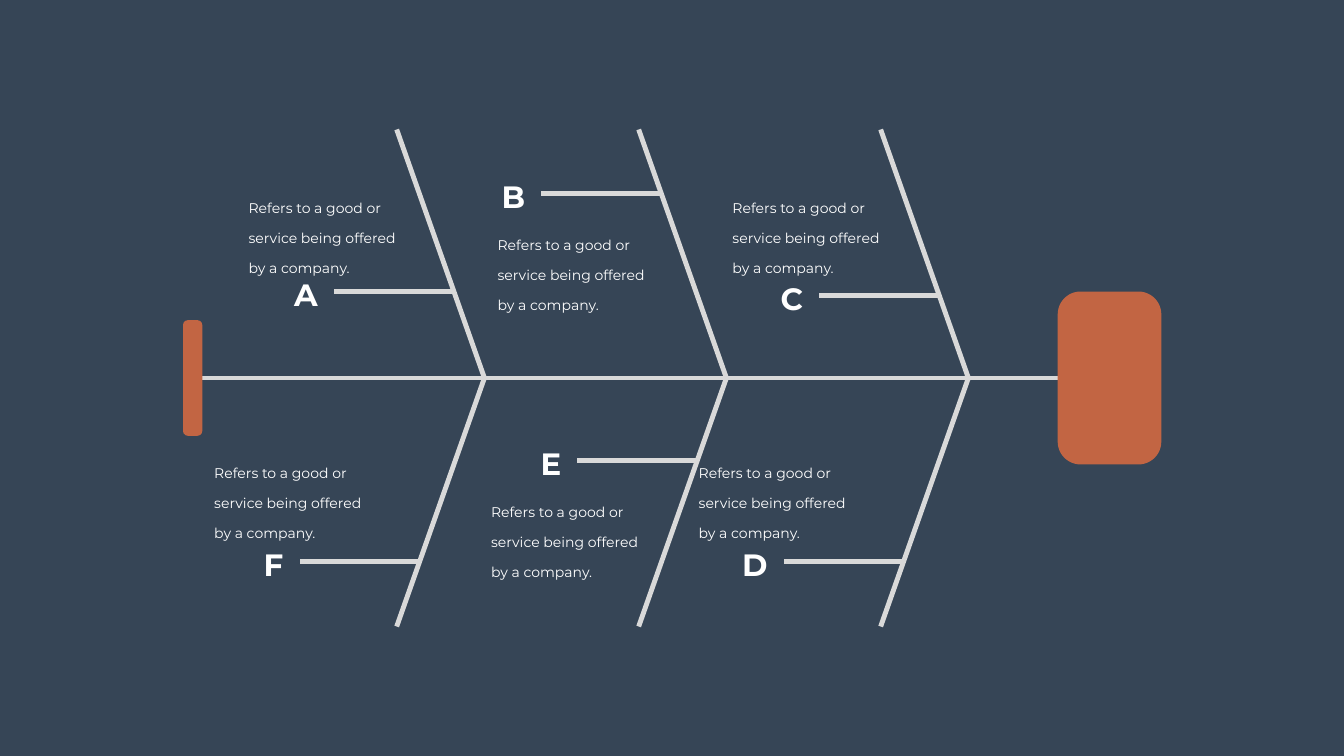
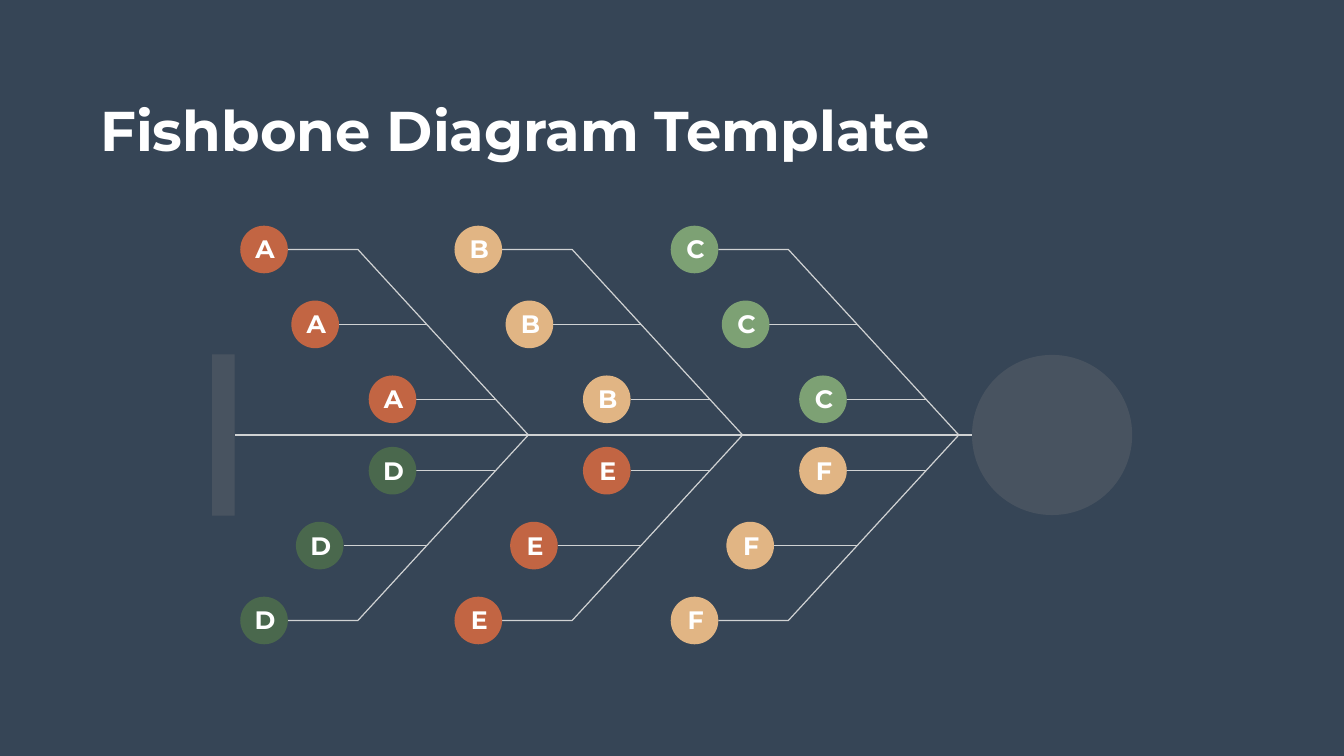
"""Build two fishbone diagram slides."""
from lxml.etree import SubElement
from pptx import Presentation
from pptx.dml.color import RGBColor
from pptx.enum.shapes import MSO_CONNECTOR, MSO_SHAPE
from pptx.enum.text import MSO_ANCHOR, MSO_AUTO_SIZE, PP_ALIGN
from pptx.oxml.ns import qn
from pptx.util import Pt

COLORS = {
    "background": "364556", "white": "FFFFFF", "bone": "D9D9D9", "thin_bone": "D0D2D3",
    "orange": "C26543", "sand": "E1B584", "sage": "7DA174", "forest": "4A684D", "gray": "808080",
}
FONT = "Montserrat"
TITLE = "Fishbone Diagram Template"
NOTE = "Refers to a good or service being offered by a company."

# Letter, bone index, height of its branch, left and top of its note
CAUSES = [
    ("A", 0, 416.5, 337.7, 257), ("B", 1, 276.8, 693.4, 310.3), ("C", 2, 422.3, 1028.9, 257),
    ("F", 0, 802.4, 288.7, 635.8), ("E", 1, 657.7, 684, 691.9), ("D", 2, 801.7, 980.6, 635.8),
]
BOLD_BONES = {"left": 566.6, "pitch": 345.6, "run": 125.3, "rise": 355, "spine": 540}
BRANCH_LENGTH = 169

# Tip of each bone, then letter and colour of its upper and lower half
BONES = [
    (754.6, ("A", "orange"), ("D", "forest")),
    (1060.6, ("B", "sand"), ("E", "orange")),
    (1369.4, ("C", "sage"), ("F", "sand")),
]
THIN_BONES = {"run": 243.4, "rise": 265, "spine": 621.4}
DISTANCES = (265, 158, 51)
UPPER_SETBACKS = (377.5, 304.5, 194)
LOWER_SETBACKS = (377.5, 298, 194)
DISC = 68
LETTER_SIZE = (114.5, 51)


def rgb(name):
    return RGBColor.from_string(COLORS[name])


def style_text(frame, text, size, bold, align):
    frame.text = text
    frame.auto_size = MSO_AUTO_SIZE.SHAPE_TO_FIT_TEXT
    para = frame.paragraphs[0]
    para.alignment = align
    font = para.runs[0].font
    font.name, font.size, font.bold = FONT, Pt(size), bold
    font.color.rgb = rgb("white")
    return para


def add_text(slide, text, left, top, width, height, size, bold=True, align=PP_ALIGN.CENTER):
    box = slide.shapes.add_textbox(Pt(left), Pt(top), Pt(width), Pt(height))
    box.text_frame.word_wrap = True
    style_text(box.text_frame, text, size, bold, align)
    return box


def add_note(slide, left, top):
    box = add_text(slide, NOTE, left, top, 259.2, 141.8, 20, False, PP_ALIGN.LEFT)
    frame = box.text_frame
    frame.margin_left = frame.margin_right = Pt(17.28)
    frame.margin_top = frame.margin_bottom = Pt(8.64)
    para = frame.paragraphs[0]
    para.line_spacing, para.space_before = Pt(43), Pt(4)


def add_solid(slide, kind, left, top, width, height, color, opacity=None):
    shape = slide.shapes.add_shape(kind, Pt(left), Pt(top), Pt(width), Pt(height))
    shape.shadow.inherit = False
    shape.fill.solid()
    shape.fill.fore_color.rgb = rgb(color)
    shape.line.fill.background()
    if opacity is not None:
        tint = next(shape.fill._xPr.iter(qn("a:srgbClr")))
        SubElement(tint, qn("a:alpha")).set("val", str(opacity * 1000))
    return shape


def style_line(shape, color, weight):
    shape.line.color.rgb = rgb(color)
    shape.line.width = Pt(weight)


def add_straight(slide, start, end, y, color, weight):
    line = slide.shapes.add_connector(MSO_CONNECTOR.STRAIGHT, Pt(start), Pt(y), Pt(end), Pt(y))
    style_line(line, color, weight)
    SubElement(line._element.spPr, qn("a:effectLst"))
    return line


def add_bone(slide, points, color, weight):
    corners = [(Pt(x), Pt(y)) for x, y in points]
    builder = slide.shapes.build_freeform(*corners[0])
    builder.add_line_segments(corners[1:], close=False)
    bone = builder.convert_to_shape()
    bone.shadow.inherit = False
    bone.fill.background()
    style_line(bone, color, weight)


def build_bold_fishbone(deck):
    slide = deck.slides.add_slide(deck.slide_layouts[6])
    spine, run, rise = (BOLD_BONES[key] for key in ("spine", "run", "rise"))
    lefts = [BOLD_BONES["left"] + index * BOLD_BONES["pitch"] for index in range(3)]
    add_straight(slide, 1553, 274.3, spine, "bone", 7)
    for left in reversed(lefts):
        points = [(left, spine - rise), (left + run, spine), (left, spine + rise)]
        add_bone(slide, points, "bone", 7)
    for letter, index, y, note_left, note_top in CAUSES:
        end = lefts[index] + run * (1 - abs(y - spine) / rise) - 2.4
        start = end - BRANCH_LENGTH
        add_straight(slide, end, start, y, "bone", 7)
        add_note(slide, note_left, note_top)
        width, height = LETTER_SIZE
        add_text(slide, letter, start - 16 - width, y - 26, width, height, 44, align=PP_ALIGN.RIGHT)
    for left, width, height, corner in [(1510.6, 148, 247, 0.22), (261.4, 27.5, 165.2, 0.25)]:
        part = add_solid(slide, MSO_SHAPE.ROUNDED_RECTANGLE, left, spine - height / 2,
                         width, height, "orange")
        part.adjustments[0] = corner


def add_branch(slide, letter, color, tip, y, distance, setback):
    center = tip - setback
    if distance < THIN_BONES["rise"]:
        end = tip - THIN_BONES["run"] * distance / THIN_BONES["rise"]
        add_straight(slide, center + DISC / 2, end, y, "thin_bone", 1.73)
    add_solid(slide, MSO_SHAPE.OVAL, center - DISC / 2, y - DISC / 2, DISC, DISC, color)
    width, height = LETTER_SIZE
    add_text(slide, letter, center + 1.5 - width / 2, y - 0.5 - height / 2, width, height, 36)


def build_disc_fishbone(deck):
    slide = deck.slides.add_slide(deck.slide_layouts[5])
    title = slide.shapes.title
    title.left, title.top, title.width, title.height = Pt(136), Pt(133.2), Pt(1203), Pt(104.4)
    style_text(title.text_frame, TITLE, 80, True, PP_ALIGN.LEFT)
    title.text_frame.word_wrap = False
    title.text_frame.vertical_anchor = MSO_ANCHOR.TOP

    spine, run, rise = (THIN_BONES[key] for key in ("spine", "run", "rise"))
    head = add_solid(slide, MSO_SHAPE.OVAL, 1388.2, spine - 114.4, 228.8, 228.8, "gray", 25)
    tail = add_solid(slide, MSO_SHAPE.RECTANGLE, 303, spine - 115.2, 32, 230.4, "gray", 25)
    backbone = add_straight(slide, head.left.pt, 335, spine, "thin_bone", 1.73)
    backbone.end_connect(tail, 3)
    for tip, upper, lower in BONES:
        start, bend = tip - UPPER_SETBACKS[0] + DISC / 2, tip - run
        points = [(start, spine - rise), (bend, spine - rise), (tip, spine),
                  (bend, spine + rise), (start, spine + rise)]
        add_bone(slide, points, "thin_bone", 1.73)
        for side, half, setbacks in [(-1, upper, UPPER_SETBACKS), (1, lower, LOWER_SETBACKS)]:
            for distance, setback in zip(DISTANCES, setbacks):
                add_branch(slide, *half, tip, spine + side * distance, distance, setback)


def main():
    deck = Presentation()
    deck.slide_width, deck.slide_height = Pt(1919.52), Pt(1080)
    backdrop = deck.slide_master.background.fill
    backdrop.solid()
    backdrop.fore_color.rgb = rgb("background")
    build_bold_fishbone(deck)
    build_disc_fishbone(deck)
    deck.save("out.pptx")


if __name__ == "__main__":
    main()
